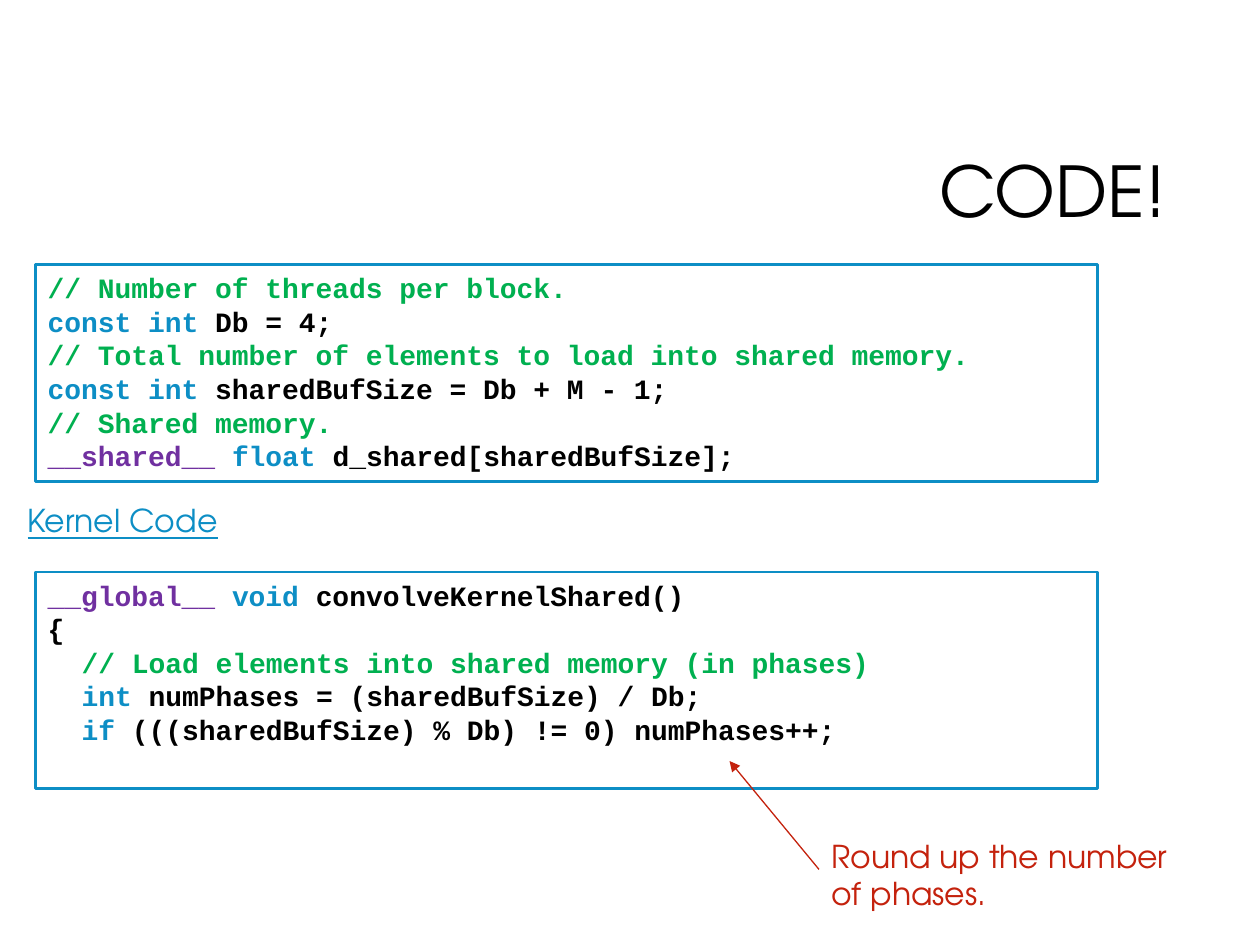
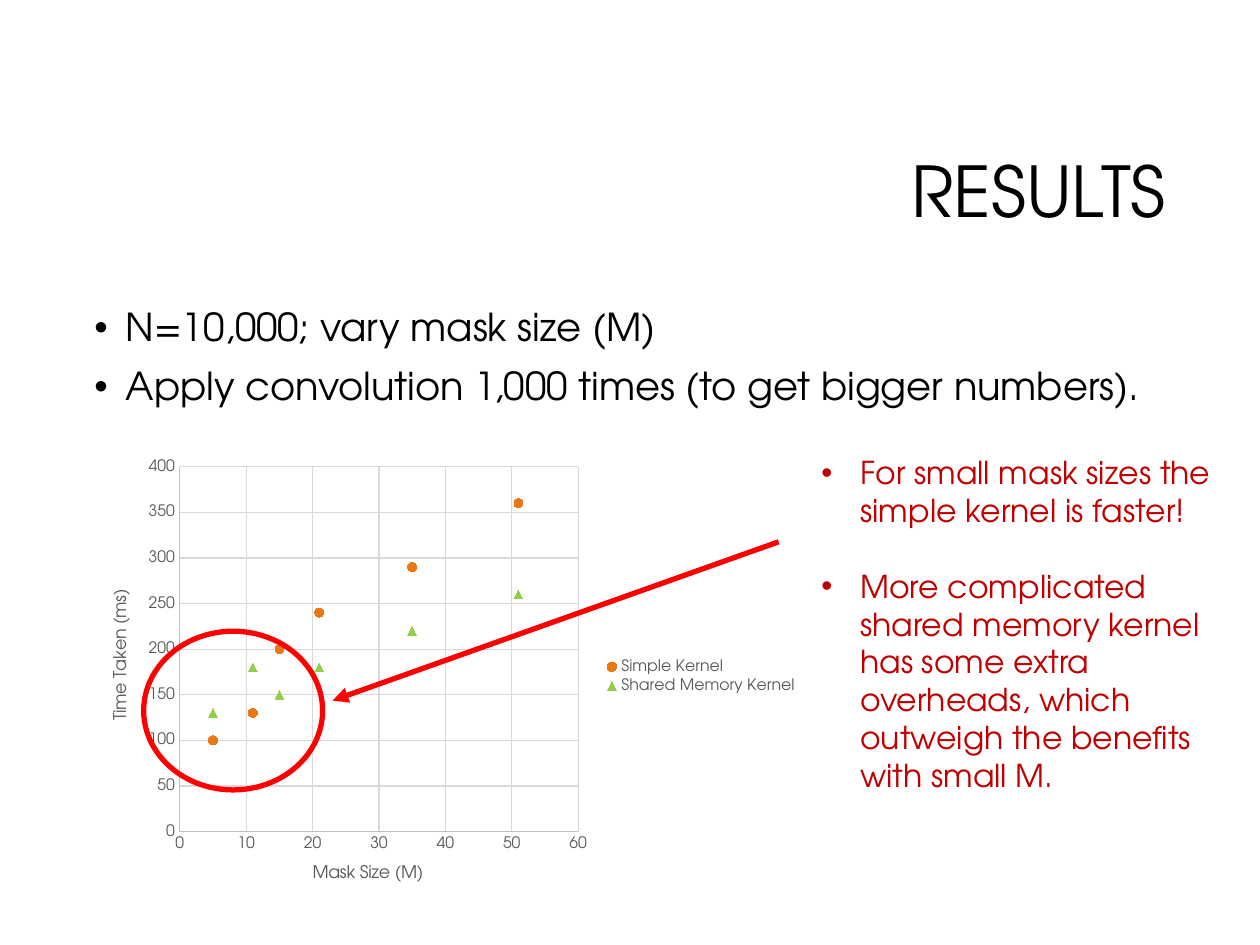
import pptx
import pptx.chart.data
import pptx.dml.color
import pptx.enum.chart
import pptx.enum.shapes
import pptx.enum.text
import pptx.oxml
import pptx.oxml.ns
import pptx.util
from lxml import etree

Inches, Pt = pptx.util.Inches, pptx.util.Pt
qn = pptx.oxml.ns.qn

COLORS = {
    "text": "000000", "keyword": "0D8EC5", "comment": "00B050",
    "qualifier": "7030A0", "note": "C4220D", "finding": "C00000",
    "highlight": "FF0000", "simple": "EB7712", "shared": "92CE4A",
    "label": "595959", "axis": "BFBFBF", "grid": "D9D9D9",
}
FONT, CODE_FONT = "TeX Gyre Adventor", "Courier New"
TITLE_BOX = (2.38, 0.84, 6.97, 1.41)
CODE_INDENT = 0.27  # two characters of 16 pt code

# Each line: indent level, then (colour, text) tokens
SETUP_CODE = [
    (0, [("comment", "// Number of threads per block.")]),
    (0, [("keyword", "const int "), ("text", "Db = 4;")]),
    (0, [("comment", "// Total number of elements to load into shared memory.")]),
    (0, [("keyword", "const int "), ("text", "sharedBufSize = Db + M - 1;")]),
    (0, [("comment", "// Shared memory.")]),
    (0, [("qualifier", "__shared__ "), ("keyword", "float "),
         ("text", "d_shared[sharedBufSize];")]),
]
KERNEL_CODE = [
    (0, [("qualifier", "__global__ "), ("keyword", "void "),
         ("text", "convolveKernelShared()")]),
    (0, [("text", "{")]),
    (1, [("comment", "// Load elements into shared memory (in phases)")]),
    (1, [("keyword", "int "), ("text", "numPhases = (sharedBufSize) / Db;")]),
    (1, [("keyword", "if"), ("text", " (((sharedBufSize) % Db) != 0) numPhases++;")]),
]
MASK_SIZES = [5, 11, 15, 21, 35, 51]
TIMES = [
    ("Simple Kernel", "simple", "CIRCLE", [100, 130, 200, 240, 290, 360]),
    ("Shared Memory Kernel", "shared", "TRIANGLE", [130, 180, 150, 180, 220, 260]),
]


def rgb(name):
    return pptx.dml.color.RGBColor.from_string(COLORS[name])


def set_font(font, size, color, name=FONT):
    font.name, font.size = name, Pt(size)
    font.color.rgb = rgb(color)


def set_line(line, color, width):
    line.color.rgb = rgb(color)
    line.width = Pt(width)


def add_text(slide, box, lines, size, color):
    """Add a wrapped text box with one paragraph per line."""
    s = slide.shapes.add_textbox(*map(Inches, box))
    tf = s.text_frame
    tf.word_wrap = True
    for i, line in enumerate(lines):
        p = tf.paragraphs[0] if i == 0 else tf.add_paragraph()
        p.text = line
        set_font(p.font, size, color)
    return tf


def add_title(slide, text):
    tf = add_text(slide, TITLE_BOX, [text], 40, "text")
    tf.vertical_anchor = pptx.enum.text.MSO_ANCHOR.MIDDLE
    p = tf.paragraphs[0]
    p.alignment = pptx.enum.text.PP_ALIGN.RIGHT
    p.line_spacing = 0.9


def add_bullets(slide, box, lines, size, color, indent, gap, spacing=1.0):
    tf = add_text(slide, box, lines, size, color)
    for p in tf.paragraphs:
        p.line_spacing, p.space_before = spacing, Pt(gap)
        pPr = p._p.get_or_add_pPr()
        pPr.set("marL", str(Inches(indent)))
        pPr.set("indent", str(-Inches(indent)))
        bullet_font = etree.Element(qn("a:buFont"), typeface="Arial")
        bullet = etree.Element(qn("a:buChar"), char="•")
        pPr.find(qn("a:spcBef")).addnext(bullet_font)
        bullet_font.addnext(bullet)


def add_arrow(slide, start, end, color, width):
    s = slide.shapes.add_connector(
        pptx.enum.shapes.MSO_CONNECTOR.STRAIGHT, *map(Inches, start + end))
    set_line(s.line, color, width)
    etree.SubElement(s.line._get_or_add_ln(), qn("a:tailEnd"), type="triangle")
    etree.SubElement(s._element.spPr, qn("a:effectLst"))


def add_code(slide, box, code):
    """Add an outlined box of syntax-coloured code."""
    s = slide.shapes.add_textbox(*map(Inches, box))
    set_line(s.line, "keyword", 1.5)
    tf = s.text_frame
    tf.word_wrap = True
    for i, (level, tokens) in enumerate(code):
        p = tf.paragraphs[0] if i == 0 else tf.add_paragraph()
        p._p.get_or_add_pPr().set("marL", str(Inches(level * CODE_INDENT)))
        for color, text in tokens:
            r = p.add_run()
            r.text = text
            set_font(r.font, 16, color, CODE_FONT)
            r.font.bold = True


def style_axis(axis, title, maximum, step):
    axis.minimum_scale, axis.maximum_scale, axis.major_unit = 0, maximum, step
    axis.has_major_gridlines = True
    set_line(axis.major_gridlines.format.line, "grid", 0.75)
    set_line(axis.format.line, "axis", 0.75)
    axis.major_tick_mark = pptx.enum.chart.XL_TICK_MARK.NONE
    axis.minor_tick_mark = pptx.enum.chart.XL_TICK_MARK.NONE
    set_font(axis.tick_labels.font, 9, "label")
    p = axis.axis_title.text_frame.paragraphs[0]
    p.text = title
    set_font(p.font, 10, "label")
    p.font.bold = False


def set_plot_area(chart, x, y, w, h):
    """Fix the inner plot area as fractions of the chart."""
    area = chart._chartSpace.chart.plotArea
    for old in area.findall(qn("c:layout")):
        area.remove(old)
    layout = etree.Element(qn("c:layout"))
    area.insert(0, layout)
    manual = etree.SubElement(layout, qn("c:manualLayout"))
    settings = [("layoutTarget", "inner"), ("xMode", "edge"), ("yMode", "edge"),
                ("x", x), ("y", y), ("w", w), ("h", h)]
    for tag, val in settings:
        etree.SubElement(manual, qn("c:" + tag), val=str(val))


def add_times_chart(slide, box):
    data = pptx.chart.data.XyChartData()
    for name, _, _, times in TIMES:
        series = data.add_series(name)
        for mask_size, time in zip(MASK_SIZES, times):
            series.add_data_point(mask_size, time)
    chart = slide.shapes.add_chart(
        pptx.enum.chart.XL_CHART_TYPE.XY_SCATTER, *map(Inches, box), data).chart
    set_font(chart.font, 10, "text")
    chart.has_title = False
    chart.plots[0].vary_by_categories = False
    style_axis(chart.category_axis, "Mask Size (M)", 60, 10)
    style_axis(chart.value_axis, "Time Taken (ms)", 400, 50)
    set_plot_area(chart, 0.13, 0.04, 0.55, 0.8)

    # Legend
    chart.has_legend = True
    chart.legend.position = pptx.enum.chart.XL_LEGEND_POSITION.RIGHT
    chart.legend.include_in_layout = False
    set_font(chart.legend.font, 9, "label")

    # Markers without joining lines
    for series, (_, color, marker, _) in zip(chart.plots[0].series, TIMES):
        series.smooth = False
        series.format.line.fill.background()
        series.marker.style = pptx.enum.chart.XL_MARKER_STYLE[marker]
        series.marker.size = 5
        fmt = series.marker.format
        fmt.fill.solid()
        fmt.fill.fore_color.rgb = rgb(color)
        set_line(fmt.line, color, 0.75)


def add_ring(slide, box):
    s = slide.shapes.add_shape(
        pptx.enum.shapes.MSO_SHAPE.OVAL, *map(Inches, box))
    s.shadow.inherit = False
    s.fill.background()
    set_line(s.line, "highlight", 3)


def build_code_slide(slide):
    add_title(slide, "CODE!")
    for top, code in ((2.1, SETUP_CODE), (4.54, KERNEL_CODE)):
        add_code(slide, (0.28, top, 8.43, 1.72), code)
    heading = add_text(slide, (0.12, 3.93, 2.68, 0.4), ["Kernel Code"], 18, "keyword")
    heading.paragraphs[0].font.underline = True
    # Rounding note
    add_arrow(slide, (6.5, 6.9), (5.79, 6.04), "note", 0.75)
    add_text(slide, (6.5, 6.59, 3.07, 0.71), ["Round up the number of phases."], 18, "note")


def build_results_slide(slide):
    add_title(slide, "RESULTS")
    add_bullets(slide, (0.65, 2.4, 8.7, 1.04), [
        "N=10,000; vary mask size (M)",
        "Apply convolution 1,000 times (to get bigger numbers).",
    ], 22, "text", indent=0.25, gap=10, spacing=0.9)
    add_times_chart(slide, (0.68, 3.56, 5.75, 3.62))
    # Findings, with the small masks ringed
    add_bullets(slide, (6.42, 3.55, 3.38, 2.83), [
        "For small mask sizes the simple kernel is faster!",
        "More complicated shared memory kernel has some extra overheads, "
        "which outweigh the benefits with small M.",
    ], 18, "finding", indent=0.31, gap=21.6)
    add_ring(slide, (1.14, 5.01, 1.42, 1.26))
    add_arrow(slide, (6.18, 4.3), (2.64, 5.56), "highlight", 3)


def main():
    prs = pptx.Presentation()
    prs.slide_width, prs.slide_height = Inches(10), Inches(7.5)
    for build in (build_code_slide, build_results_slide):
        build(prs.slides.add_slide(prs.slide_layouts[6]))
    prs.save("out.pptx")


if __name__ == "__main__":
    main()
